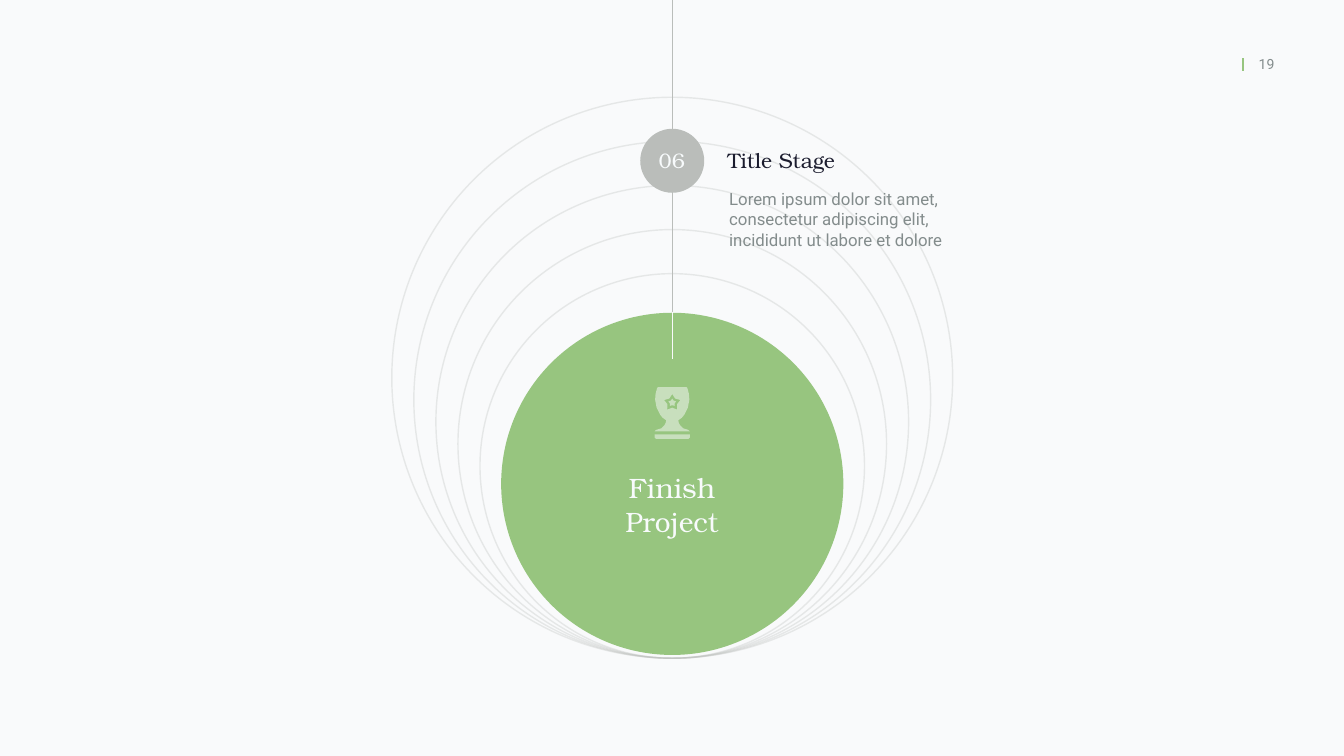
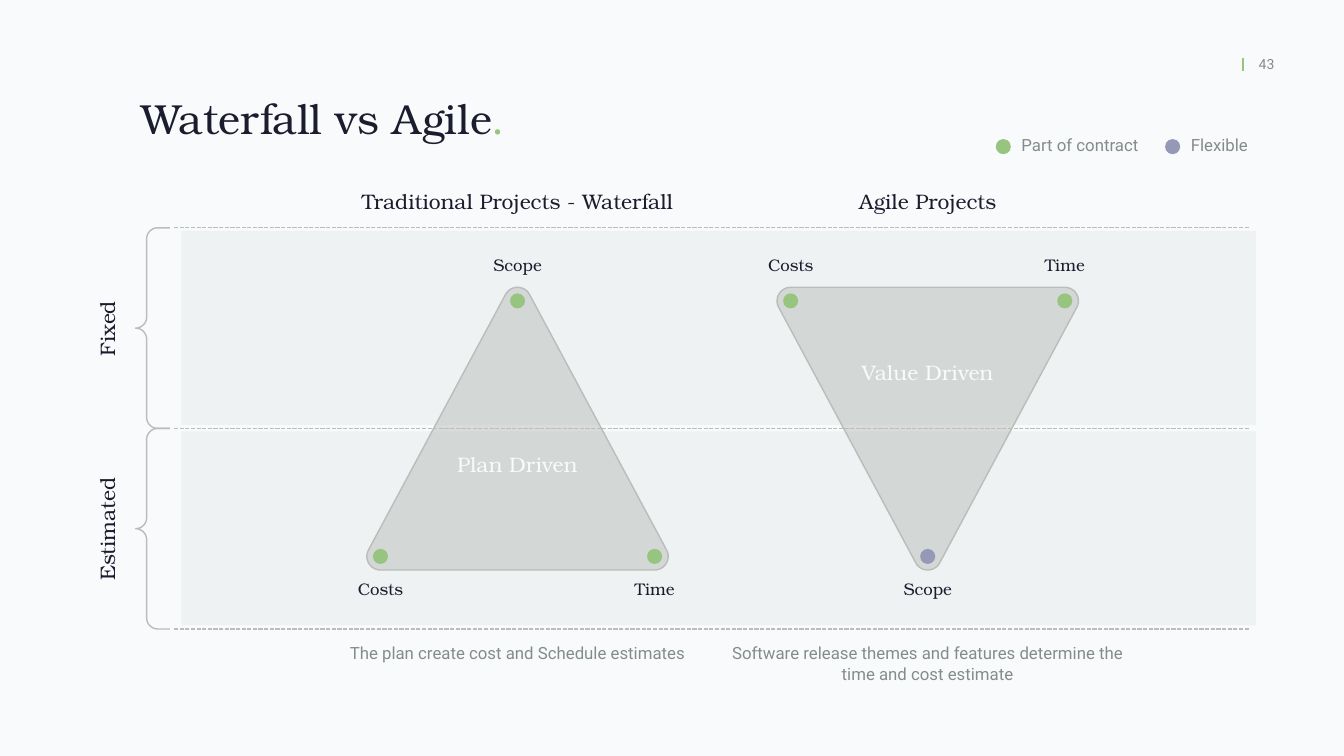
from math import atan2, cos, pi, sin

from lxml import etree
from pptx import Presentation
from pptx.dml.color import RGBColor
from pptx.enum import dml, shapes, text
from pptx.oxml.ns import qn
from pptx.util import Inches, Pt

HEX = {"paper": "F9FAFB", "white": "F8FBFC", "ink": "1B1C2E", "text": "838C8C",
       "green": "97C57F", "violet": "9598B7", "grey": "BABDBA", "band": "EEF2F3"}
SERIF, SANS = "TeX Gyre Bonum", "Roboto"
LEFT, MID = text.PP_ALIGN.LEFT, text.PP_ALIGN.CENTER
AXIS = 13.34
CLEAR = 50


def rgb(name):
    return RGBColor.from_string(HEX[name])


def fade(fill, percent):
    """Make a solid fill partly transparent."""
    color = fill._xPr.find(qn("a:solidFill"))[0]
    etree.SubElement(color, qn("a:alpha"), val=str(percent * 1000))


def paint(shape, fill=None, line=None, alpha=None):
    shape.shadow.inherit = False
    if fill:
        shape.fill.solid()
        shape.fill.fore_color.rgb = rgb(fill)
        if alpha:
            fade(shape.fill, alpha)
    else:
        shape.fill.background()
    if line:
        shape.line.color.rgb = rgb(line)
        shape.line.width = Pt(2)
    else:
        shape.line.fill.background()
    return shape


def write(box, lines, size, color, font=SERIF, align=MID, dot=None):
    """Fill a box with one paragraph a line, and a coloured full stop if asked."""
    frame = box.text_frame
    frame.word_wrap = True
    frame.auto_size = text.MSO_AUTO_SIZE.NONE
    frame.vertical_anchor = text.MSO_ANCHOR.TOP
    frame.margin_left = frame.margin_right = Inches(0.06)
    frame.margin_top = frame.margin_bottom = Inches(0.06)
    for i, line in enumerate(lines):
        para = frame.add_paragraph() if i else frame.paragraphs[0]
        para.alignment = align
        para.font.size = Pt(size)
        para.font.name = font
        para.font.color.rgb = rgb(color)
        para.add_run().text = line
        if dot:
            stop = para.add_run()
            stop.text = "."
            stop.font.color.rgb = rgb(dot)


def label(slide, at, words, size, color, font=SERIF, align=MID, turn=0):
    box = slide.shapes.add_textbox(*map(Inches, at))
    box.rotation = turn
    write(box, [words], size, color, font, align)


def head(slide, at, lines, size, color, align, dot=None):
    """Place the title placeholder in front of what is drawn so far."""
    title = slide.shapes.title
    title.left, title.top, title.width, title.height = map(Inches, at)
    title.element.getparent().append(title.element)
    write(title, lines, size, color, align=align, dot=dot)


def disc(slide, x, y, size, fill=None, line=None):
    """Draw a circle round the centre x, y."""
    box = (x - size / 2, y - size / 2, size, size)
    shape = slide.shapes.add_shape(shapes.MSO_SHAPE.OVAL, *map(Inches, box))
    return paint(shape, fill, line)


def rule(slide, start, end, color, width=2, dash=None):
    line = slide.shapes.add_connector(shapes.MSO_CONNECTOR.STRAIGHT,
                                      *map(Inches, start + end))
    line.line.color.rgb = rgb(color)
    line.line.width = Pt(width)
    if dash:
        line.line.dash_style = dash
    etree.SubElement(line._element.spPr, qn("a:effectLst"))


def outline(slide, paths, close=True):
    """Build one freeform from lists of points."""
    pen = None
    for path in paths:
        start, *rest = [(Inches(x), Inches(y)) for x, y in path]
        if pen:
            pen.move_to(*start)
        else:
            pen = slide.shapes.build_freeform(*start)
        pen.add_line_segments(rest, close=close)
    return pen.convert_to_shape()


def arc(x, y, radius, start, end, steps=12):
    angles = [start + (end - start) * i / steps for i in range(steps + 1)]
    return [(x + radius * cos(a), y + radius * sin(a)) for a in angles]


def star(x, y, outer, inner):
    radii = (outer, inner) * 5
    return [(x + r * sin(i * pi / 5), y - r * cos(i * pi / 5))
            for i, r in enumerate(radii)]


def trophy(slide):
    side = [(0.28, 7.68), (0.3, 7.7), (0.33, 7.81), (0.34, 7.93), (0.31, 8.09),
            (0.24, 8.23), (0.19, 8.29), (0.12, 8.34), (0.13, 8.39), (0.15, 8.43),
            (0.22, 8.5), (0.32, 8.53), (0.35, 8.56)]
    foot = [(0.35, 8.62), (0.35, 8.68), (0.32, 8.71)]
    paths = [[(AXIS + x, y) for x, y in half]
             + [(AXIS - x, y) for x, y in reversed(half)] for half in (side, foot)]
    paths += [star(AXIS, 7.99, 0.17, 0.1), star(AXIS, 7.99, 0.08, 0.05)]
    paint(outline(slide, paths), "paper", alpha=CLEAR)


def wedge(slide, corners, radius=0.27):
    """Draw a triangle rounded about its clockwise corner centres."""
    points = []
    for i, (x, y) in enumerate(corners):
        px, py = corners[i - 1]
        nx, ny = corners[(i + 1) % 3]
        start, end = atan2(px - x, y - py), atan2(x - nx, ny - y)
        points += arc(x, y, radius, start, start + (end - start) % (2 * pi))
    paint(outline(slide, [points]), "grey", "grey", CLEAR)


def brace(slide, top, bottom):
    tip, spine, end, r = 2.69, 2.91, 3.37, 0.22
    mid = (top + bottom) / 2
    points = [(end, top), *arc(spine + r, top + r, r, -pi / 2, -pi),
              *arc(tip, mid - r, r, 0, pi / 2), *arc(tip, mid + r, r, -pi / 2, 0),
              *arc(spine + r, bottom - r, r, pi, pi / 2), (end, bottom)]
    paint(outline(slide, [points], close=False), line="grey")


def page(deck, number):
    """Add a slide with the page number and its green bar."""
    slide = deck.slides.add_slide(deck.slide_layouts[5])
    rule(slide, (24.67, 1.4), (24.67, 1.15), "green", 3)
    label(slide, (24.5, 1.04, 1.27, 0.44), number, 20, "text", SANS)
    return slide


def finish(deck):
    slide = page(deck, "19")
    disc(slide, AXIS, 9.6, 6.79, "green")
    for i in range(5):
        size = 7.63 + 0.875 * i
        ring = disc(slide, AXIS, 13.06 - size / 2, size, line="grey")
        fade(ring.line.fill, 30)
    head(slide, (11.53, 9.28, 3.61, 1.46), ["Finish", "Project"], 40, "white", MID)
    rule(slide, (AXIS, 7.12), (AXIS, 6.1), "paper")
    rule(slide, (AXIS, 6.19), (AXIS, 0), "grey")
    disc(slide, AXIS, 3.19, 1.27, "grey")
    label(slide, (12.87, 2.87, 0.92, 0.62), "06", 30, "white")
    label(slide, (14.41, 3.69, 4.63, 1.32), "Lorem ipsum dolor sit amet, consectetur "
          "adipiscing elit, incididunt ut labore et dolore", 24, "text", SANS, LEFT)
    label(slide, (14.38, 2.87, 2.74, 0.62), "Title Stage", 30, "ink", align=LEFT)
    trophy(slide)


def compare(deck):
    slide = page(deck, "43")
    levels = (4.52, 8.5, 12.48)
    high, low, reach = 5.97, 11.04, 2.72
    plans = [
        (10.27, "Traditional Projects - Waterfall", "Plan Driven", 8.89,
         "The plan create cost and Schedule estimates",
         [("Scope", 0, high, "green"), ("Time", reach, low, "green"),
          ("Costs", -reach, low, "green")]),
        (18.41, "Agile Projects", "Value Driven", 7.07,
         "Software release themes and features determine the time and cost estimate",
         [("Costs", -reach, high, "green"), ("Time", reach, high, "green"),
          ("Scope", 0, low, "violet")]),
    ]
    for top in levels[:2]:
        band = slide.shapes.add_shape(shapes.MSO_SHAPE.RECTANGLE, Inches(3.6),
                                      Inches(top + 0.06), Inches(21.32), Inches(3.85))
        paint(band, "band")
    for x, *_, corners in plans:
        wedge(slide, [(x + dx, y) for _, dx, y, _ in corners])
    for y in levels:
        rule(slide, (24.78, y), (3.46, y), "grey", dash=dml.MSO_LINE.SQUARE_DOT)
    for name, top, bottom in zip(("Fixed", "Estimated"), levels, levels[1:]):
        brace(slide, top, bottom)
        label(slide, (0.19, (top + bottom) / 2 - 0.3, 3.86, 0.62), name, 30, "ink",
              turn=270)
    for x, name, drive, y, note, corners in plans:
        label(slide, (x - 3.48, 3.69, 6.96, 0.62), name, 30, "ink")
        label(slide, (x - 1.43, y, 2.85, 0.62), drive, 30, "white")
        label(slide, (x - 3.95, 12.7, 7.89, 0.92), note, 24, "text", SANS)
        for word, dx, cy, color in corners:
            disc(slide, x + dx, cy, 0.3, color)
            top = 5 if cy == high else 11.43
            label(slide, (x + dx - 0.89, top, 1.78, 0.52), word, 24, "ink")
    for x, word, width, color in ((19.91, "Part of contract", 2.85, "green"),
                                  (23.27, "Flexible", 1.52, "violet")):
        disc(slide, x, 2.91, 0.3, color)
        label(slide, (x + 0.3, 2.62, width, 0.52), word, 24, "text", SANS, LEFT)
    head(slide, (2.74, 1.78, 13.6, 1.12), ["Waterfall vs Agile"], 60, "ink", LEFT,
         "green")


def main():
    deck = Presentation()
    deck.slide_width, deck.slide_height = Inches(26.67), Inches(15)
    back = deck.slide_master.background.fill
    back.solid()
    back.fore_color.rgb = rgb("paper")
    finish(deck)
    compare(deck)
    deck.save("out.pptx")


if __name__ == "__main__":
    main()
